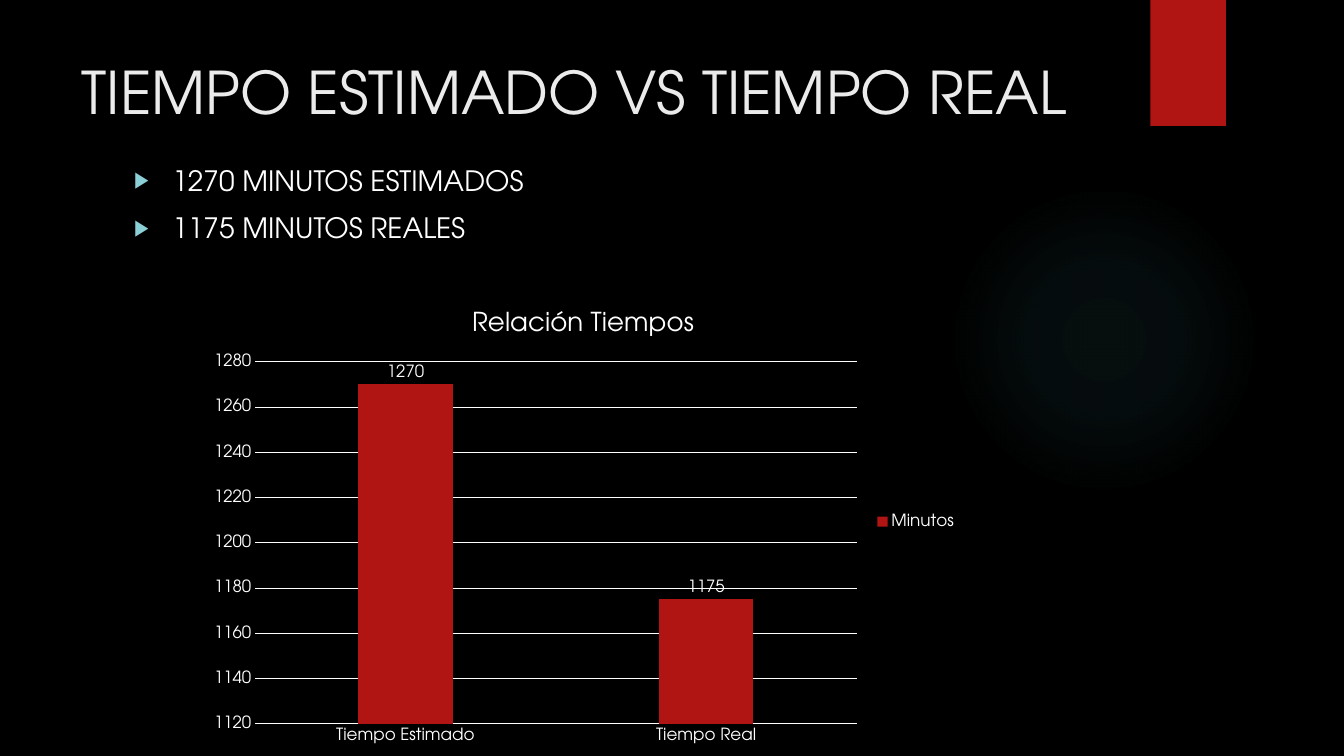
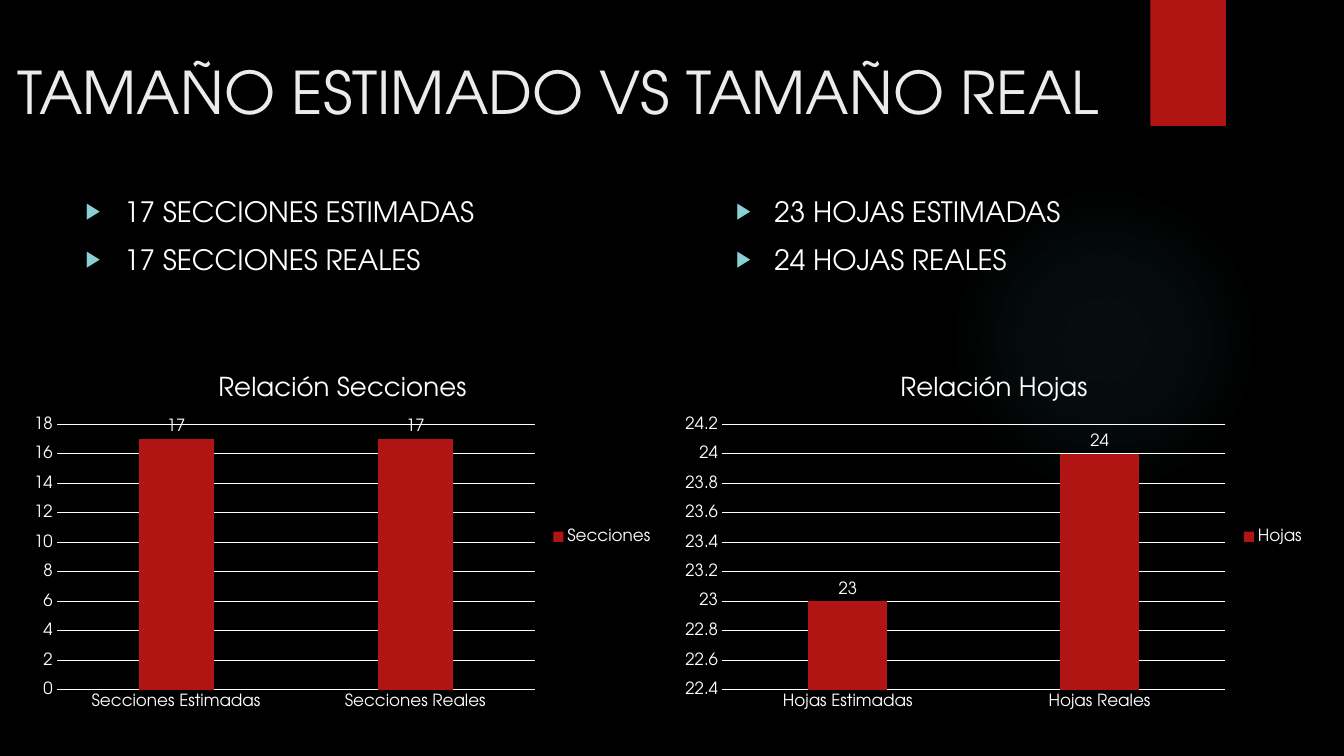
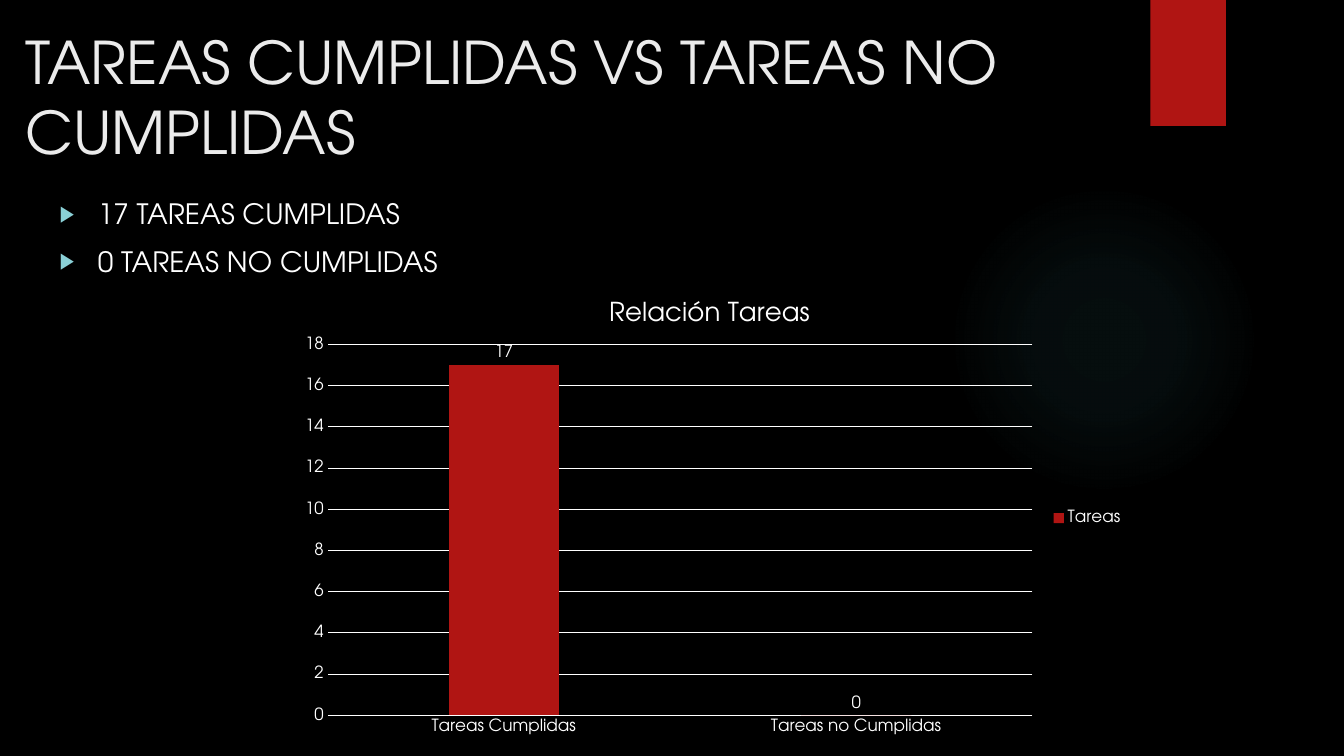
from lxml import etree
from pptx import Presentation
from pptx.chart.data import CategoryChartData
from pptx.dml.color import RGBColor
from pptx.enum.chart import XL_CHART_TYPE as ChartType
from pptx.enum.chart import XL_LABEL_POSITION as LabelPos
from pptx.enum.chart import XL_LEGEND_POSITION as LegendPos
from pptx.enum.chart import XL_TICK_MARK as TickMark
from pptx.enum.shapes import MSO_SHAPE as Preset
from pptx.enum.text import MSO_ANCHOR as Anchor
from pptx.enum.text import MSO_AUTO_SIZE as AutoSize
from pptx.enum.text import PP_ALIGN as Align
from pptx.oxml import parse_xml
from pptx.oxml.ns import nsdecls, qn
from pptx.util import Inches, Pt

FONT = "TeX Gyre Adventor"
BLACK, WHITE, TITLE = "000000", "FFFFFF", "EBEBEB"
RED, GLOW, BULLET = "B01513", "50B9C1", "8AD0D6"
TITLE_AND_LIST, TITLE_AND_TWO_LISTS = 1, 3


def rgb(color):
    return RGBColor.from_string(color)


def set_font(font, size, color=WHITE):
    font.name, font.size, font.bold = FONT, Pt(size), False
    font.color.rgb = rgb(color)


class Deck:
    """Holds the shared style and the slide being built."""

    def __init__(self):
        self.prs = Presentation()
        self.prs.slide_width, self.prs.slide_height = Inches(13.33), Inches(7.5)
        self.slide = None

    def new_slide(self, layout, title, left, top, width):
        first = self.slide is None
        self.slide = self.prs.slides.add_slide(self.prs.slide_layouts[layout])
        if first:
            self.dress_master()
        self.fill_text(self.slide.shapes.title, (left, top, width, 1.53),
                       [title], 42, TITLE)

    def dress_master(self):
        """Give the master its background, glow and red band."""
        master = self.prs.slide_master
        backdrop = master.background.fill
        backdrop.solid()
        backdrop.fore_color.rgb = rgb(BLACK)
        glow = self.plain_shape(Preset.OVAL, 9.41, 1.83, 3.08, 3.08)
        stops = "".join(
            f'<a:gs pos="{pos * 1000}"><a:srgbClr val="{GLOW}">'
            f'<a:alpha val="{alpha * 1000}"/></a:srgbClr></a:gs>'
            for pos, alpha in ((0, 7), (36, 6), (69, 0)))
        gradient = parse_xml(
            f'<a:gradFill {nsdecls("a")}><a:gsLst>{stops}</a:gsLst>'
            '<a:path path="circle"><a:fillToRect l="50000" t="50000" '
            'r="50000" b="50000"/></a:path></a:gradFill>')
        properties = glow.element.spPr
        properties.replace(properties.find(qn("a:noFill")), gradient)
        band = self.plain_shape(Preset.RECTANGLE, 11.41, 0, 0.75, 1.25)
        band.fill.solid()
        band.fill.fore_color.rgb = rgb(RED)
        for decoration in (glow, band):
            master.shapes.element.append(decoration.element)

    def plain_shape(self, preset, *box):
        shape = self.slide.shapes.add_shape(preset, *map(Inches, box))
        shape.shadow.inherit = False
        shape.fill.background()
        shape.line.fill.background()
        return shape

    def fill_text(self, holder, box, lines, size, color):
        """Move a placeholder and write one paragraph per line."""
        holder.left, holder.top, holder.width, holder.height = map(Inches, box)
        frame = holder.text_frame
        frame.word_wrap, frame.auto_size = True, AutoSize.NONE
        frame.vertical_anchor = Anchor.TOP
        for i, line in enumerate(lines):
            paragraph = frame.add_paragraph() if i else frame.paragraphs[0]
            paragraph.alignment = Align.LEFT
            run = paragraph.add_run()
            run.text = line
            set_font(run.font, size, color)
        return frame.paragraphs

    def bullets(self, left, top, lines, idx=1):
        holder = self.slide.placeholders[idx]
        box = (left, top, 4.2, 1.34)
        for paragraph in self.fill_text(holder, box, lines, 20, WHITE):
            paragraph.space_before = Pt(10)
            props = paragraph._p.get_or_add_pPr()
            props.set("marL", str(Inches(0.38)))
            props.set("indent", str(-Inches(0.38)))
            color = etree.SubElement(props, qn("a:buClr"))
            etree.SubElement(color, qn("a:srgbClr"), val=BULLET)
            etree.SubElement(props, qn("a:buSzPct"), val="80000")
            etree.SubElement(props, qn("a:buChar"), char="▶")

    def column_chart(self, box, title, name, columns, scale, plot_box=None):
        """Add a column chart; scale is lowest, highest and step."""
        data = CategoryChartData()
        data.categories = list(columns)
        data.add_series(name, list(columns.values()))
        chart = self.slide.shapes.add_chart(
            ChartType.COLUMN_CLUSTERED, *map(Inches, box), data).chart
        set_font(chart.font, 10)

        # Title and legend
        chart.has_title = True
        heading = chart.chart_title.text_frame.paragraphs[0].add_run()
        heading.text = title
        set_font(heading.font, 18.6)
        chart.chart_title.include_in_layout = False
        chart.has_legend = True
        chart.legend.position = LegendPos.RIGHT
        chart.legend.include_in_layout = False
        set_font(chart.legend.font, 12)

        # Axes
        values, categories = chart.value_axis, chart.category_axis
        for axis in (values, categories):
            axis.major_tick_mark = axis.minor_tick_mark = TickMark.NONE
            set_font(axis.tick_labels.font, 12)
        values.minimum_scale, values.maximum_scale, values.major_unit = scale
        values.format.line.fill.background()
        values.has_major_gridlines = True
        for line in (values.major_gridlines.format.line, categories.format.line):
            line.color.rgb = rgb(WHITE)
            line.width = Pt(0.75)

        # Columns and their labels
        plot = chart.plots[0]
        plot.gap_width, plot.overlap = 219, -27
        plot.vary_by_categories = False
        series = plot.series[0]
        series.format.fill.solid()
        series.format.fill.fore_color.rgb = rgb(RED)
        labels = series.data_labels
        labels.show_value, labels.position = True, LabelPos.OUTSIDE_END
        set_font(labels.font, 12)
        if plot_box:
            self.place_plot(chart, plot_box)

    def place_plot(self, chart, plot_box):
        area = chart.element.find(".//" + qn("c:plotArea"))
        for old in area.findall(qn("c:layout")):
            area.remove(old)
        layout = etree.Element(qn("c:layout"))
        manual = etree.SubElement(layout, qn("c:manualLayout"))
        settings = [("layoutTarget", "inner"), ("xMode", "edge"),
                    ("yMode", "edge"), *zip("xywh", plot_box)]
        for tag, value in settings:
            etree.SubElement(manual, qn("c:" + tag), val=str(value))
        area.insert(0, layout)


def main():
    deck = Deck()

    # Time
    deck.new_slide(TITLE_AND_LIST, "TIEMPO ESTIMADO VS TIEMPO REAL", 0.71, 0.5, 10.29)
    deck.column_chart((1.97, 2.88, 7.63, 4.59), "Relación Tiempos", "Minutos",
                      {"Tiempo Estimado": 1270, "Tiempo Real": 1175},
                      (1120, 1280, 20))
    deck.bullets(1.23, 1.57, ["1270 MINUTOS ESTIMADOS", "1175 MINUTOS REALES"])

    # Size: sections on the left, sheets on the right
    deck.new_slide(TITLE_AND_TWO_LISTS, "TAMAÑO ESTIMADO VS TAMAÑO REAL", 0.07, 0.5, 11.1)
    measures = [
        ("Secciones", "Estimadas", 17, 17, (0, 18, 2), 0.21, 0.75),
        ("Hojas", "Estimadas", 23, 24, (22.4, 24.2, 0.2), 6.67, 7.2),
    ]
    for idx, measure in enumerate(measures, 1):
        name, planned, estimate, real, scale, chart_left, list_left = measure
        deck.column_chart((chart_left, 3.54, 6.38, 3.57), f"Relación {name}", name,
                          {f"{name} {planned}": estimate, f"{name} Reales": real},
                          scale)
        deck.bullets(list_left, 1.88,
                     [f"{estimate} {name} {planned}".upper(),
                      f"{real} {name} Reales".upper()], idx)

    # Tasks
    deck.new_slide(TITLE_AND_LIST, "TAREAS CUMPLIDAS VS TAREAS NO CUMPLIDAS",
                   0.15, 0.2, 11.1)
    deck.column_chart((2.83, 2.78, 8.42, 4.72), "Relación Tareas", "Tareas",
                      {"Tareas Cumplidas": 17, "Tareas no Cumplidas": 0},
                      (0, 18, 2), plot_box=(0.05, 0.135, 0.83, 0.78))
    deck.bullets(0.49, 1.9, ["17 TAREAS CUMPLIDAS", "0 TAREAS NO CUMPLIDAS"])

    deck.prs.save("out.pptx")


if __name__ == "__main__":
    main()
